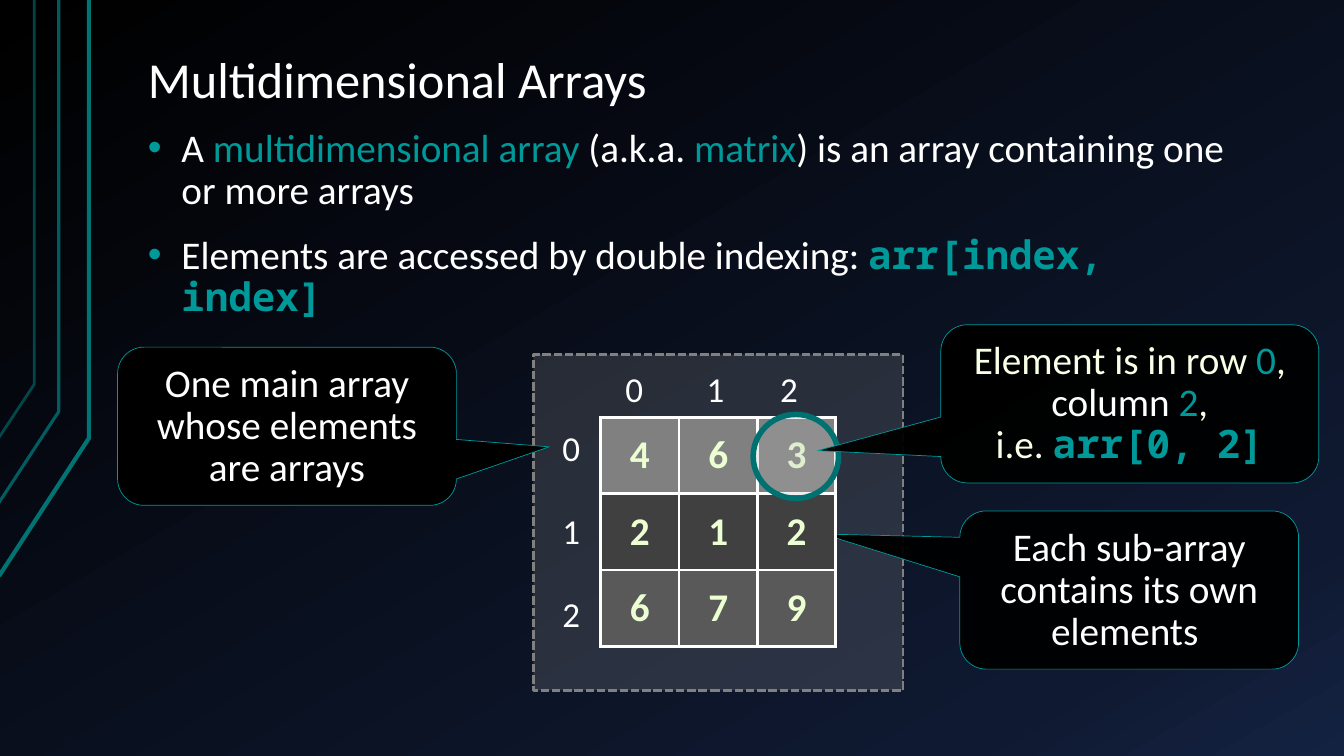
from lxml.etree import SubElement
from pptx import Presentation
from pptx.dml.color import RGBColor
from pptx.enum.dml import MSO_LINE as Dash
from pptx.enum.shapes import MSO_SHAPE as Shape
from pptx.enum.text import MSO_ANCHOR as Anchor, PP_ALIGN as Align
from pptx.oxml import parse_xml
from pptx.oxml.ns import nsdecls, qn
from pptx.util import Pt

WHITE, TEAL, DEEP, CREAM, PALE = "FFFFFF", "009999", "007373", "F7FFE7", "EBFFD2"
SANS, MONO = "Calibri", "Noto Sans Mono"


def rgb(code):
    return RGBColor.from_string(code)


def fade(color, share):
    """Set the opacity of a solid fill or line, in percent."""
    SubElement(color.find(".//" + qn("a:srgbClr")), qn("a:alpha"), val=str(share * 1000))


class Deck:
    def __init__(self, width, height):
        self.prs = Presentation()
        self.prs.slide_width, self.prs.slide_height = Pt(width), Pt(height)
        self.slide = self.prs.slides.add_slide(self.prs.slide_layouts[5])
        self.shapes = self.slide.shapes

    def ground(self, stops, angle):
        marks = "".join(f'<a:gs pos="{pos * 1000}"><a:srgbClr val="{code}"/></a:gs>'
                        for pos, code in stops)
        self.slide.element.cSld.insert(0, parse_xml(
            f'<p:bg {nsdecls("p", "a")}><p:bgPr><a:gradFill rotWithShape="1">'
            f'<a:gsLst>{marks}</a:gsLst><a:lin ang="{angle * 60000}" scaled="0"/>'
            '</a:gradFill><a:effectLst/></p:bgPr></p:bg>'))

    def font(self, run, size, code=WHITE, face=SANS, bold=False):
        run.font.size, run.font.name, run.font.bold = Pt(size), face, bold
        run.font.color.rgb = rgb(code)

    def pour(self, frame, paras, size, align=Align.LEFT):
        """Each paragraph is a list of (text, colour[, face, bold])."""
        frame.word_wrap = True
        for i, parts in enumerate(paras):
            para = frame.add_paragraph() if i else frame.paragraphs[0]
            para.alignment = align
            for text, *style in parts:
                run = para.add_run()
                run.text = text
                self.font(run, size, *style)
        return frame.paragraphs

    def inset(self, frame, side, top):
        frame.margin_left = frame.margin_right = Pt(side)
        frame.margin_top = frame.margin_bottom = Pt(top)

    def title(self, text, box):
        head = self.shapes.title
        head.left, head.top, head.width, head.height = map(Pt, box)
        frame = head.text_frame
        self.inset(frame, 9.6, 4.8)
        frame.vertical_anchor = Anchor.BOTTOM
        self.pour(frame, [[(text, WHITE)]], 36)[0].line_spacing = 0.9

    def text(self, paras, box, size):
        frame = self.shapes.add_textbox(*map(Pt, box)).text_frame
        return frame, self.pour(frame, paras, size)

    def bullets(self, paras, box):
        frame, lines = self.text(paras, box, 28)
        self.inset(frame, 9.6, 4.8)
        for para in lines:
            para.line_spacing, para.space_before = 0.9, Pt(16)
            props = para._p.get_or_add_pPr()
            props.set("marL", str(Pt(24)))
            props.set("indent", str(Pt(-24)))
            SubElement(SubElement(props, qn("a:buClr")), qn("a:srgbClr"), val=TEAL)
            SubElement(props, qn("a:buFont"), typeface="Arial")
            SubElement(props, qn("a:buChar"), char="•")

    def tabs(self, para, stops):
        tabs = SubElement(para._p.get_or_add_pPr(), qn("a:tabLst"))
        for stop in stops:
            SubElement(tabs, qn("a:tab"), pos=str(Pt(stop)), algn="ctr")

    def shape(self, kind, box, fill, share, line, width):
        shape = self.shapes.add_shape(kind, *map(Pt, box))
        shape.shadow.inherit = False
        shape.fill.solid()
        shape.fill.fore_color.rgb = rgb(fill)
        fade(shape._element.spPr.find(qn("a:solidFill")), share)
        shape.line.color.rgb, shape.line.width = rgb(line), Pt(width)
        return shape

    def callout(self, paras, box, tip):
        shape = self.shape(Shape.ROUNDED_RECTANGULAR_CALLOUT, box, "000000", 95, TEAL, 0.5)
        for i, value in enumerate((*tip, 0.167)):
            shape.adjustments[i] = value
        frame = shape.text_frame
        self.inset(frame, 7.2, 5.7)
        frame.vertical_anchor = Anchor.MIDDLE
        for para in self.pour(frame, paras, 28, Align.CENTER):
            para.line_spacing = Pt(30)

    def trace(self, points, width, share):
        first, *rest = [(Pt(x), Pt(y)) for x, y in points]
        outline = self.shapes.build_freeform(*first)
        outline.add_line_segments(rest, close=False)
        shape = outline.convert_to_shape()
        shape.shadow.inherit = False
        shape.fill.background()
        shape.line.color.rgb, shape.line.width = rgb(DEEP), Pt(width)
        fade(shape._element.spPr.find(qn("a:ln")), share)

    def table(self, rows, fills, box):
        table = self.shapes.add_table(len(rows), len(rows[0]), *map(Pt, box)).table
        for r, row in enumerate(rows):
            for c, value in enumerate(row):
                cell = table.cell(r, c)
                cell.vertical_anchor = Anchor.MIDDLE
                self.pour(cell.text_frame, [[(str(value), PALE, SANS, True)]],
                          28, Align.CENTER)
                props = cell._tc.get_or_add_tcPr()
                for side in ("lnL", "lnR", "lnT", "lnB"):
                    edge = SubElement(props, qn("a:" + side), w=str(Pt(2.25)))
                    SubElement(SubElement(edge, qn("a:solidFill")), qn("a:srgbClr"), val=WHITE)
                cell.fill.solid()
                cell.fill.fore_color.rgb = rgb(fills[r])


def main():
    deck = Deck(960, 540)

    # Background and corner lines
    deck.ground([(0, "000000"), (85, "0F1931"), (100, "142242")], 60)
    for x, bend, end, width, share in ((63.5, 313, 411.5, 3, 100),
                                       (42, 294, 359, 2.25, 80),
                                       (24.5, 274.5, 312.5, 2, 60)):
        deck.trace([(-0.7, end), (x, bend), (x, 0)], width, share)

    # Title and bullets
    deck.title("Multidimensional Arrays", (96, 21.6, 816, 61.2))
    deck.bullets([
        [("A ", WHITE), ("multidimensional array ", TEAL), ("(a.k.a. ", WHITE),
         ("matrix", TEAL), (") is an array containing one or more arrays", WHITE)],
        [("Elements are accessed by double indexing: ", WHITE),
         ("arr[index, index]", TEAL, MONO, True)],
    ], (96, 87, 816, 153.5))

    # Matrix frame with column and row labels
    frame = deck.shape(Shape.RECTANGLE, (381, 253.2, 264, 240), "A6A6A6", 20, "808080", 2)
    frame.line.dash_style = Dash.SQUARE_DOT
    _, heads = deck.text([[("\t0\t1\t2", WHITE)]], (429, 259.2, 168, 37.5), 25)
    deck.tabs(heads[0], (17, 75, 127.5))
    _, sides = deck.text([[(str(i), WHITE)] for i in range(3)], (394.6, 301, 30, 158.4), 25)
    for para in sides[1:]:
        para.space_before = Pt(29.5)

    # Side notes, matrix and marked element
    deck.callout([[("One main array whose elements are arrays", WHITE)]],
                 (84, 248, 242, 113), (0.774, 0.13))
    deck.callout([[("Each sub-array contains its own elements ", WHITE)]],
                 (685.6, 365, 242, 113), (-0.904, -0.354))
    deck.table([(4, 6, 3), (2, 1, 2), (6, 7, 9)], ("808080", "404040", "595959"),
               (429, 298.2, 168, 163.5))
    deck.shape(Shape.OVAL, (538, 296, 61, 60), "BFBFBF", 25, "007171", 4)
    deck.callout([
        [("Element is in row ", CREAM), ("0", TEAL), (", ", CREAM),
         ("column ", WHITE), ("2", TEAL), (",", CREAM)],
        [("i.e. ", CREAM), ("arr[0, 2]", TEAL, MONO, True)],
    ], (672, 232, 270, 113), (-0.826, 0.296))

    deck.prs.save("out.pptx")


if __name__ == "__main__":
    main()
